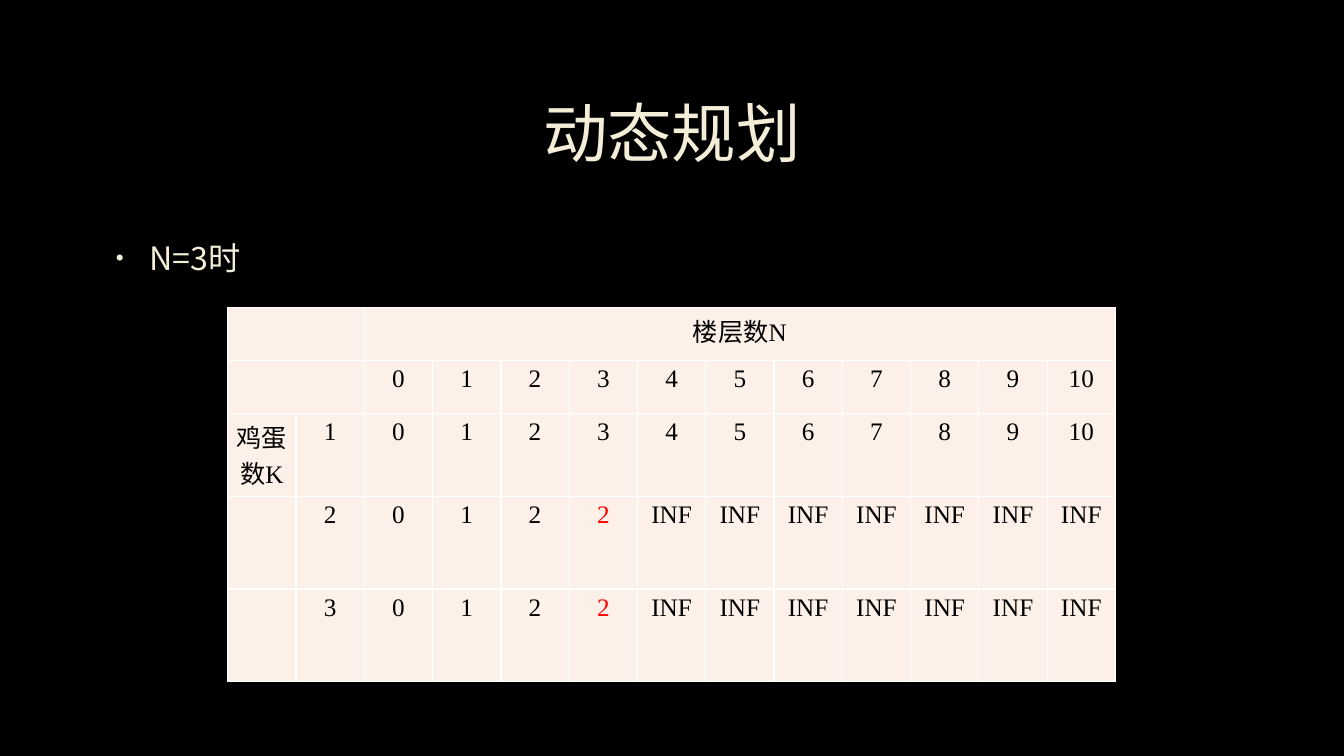
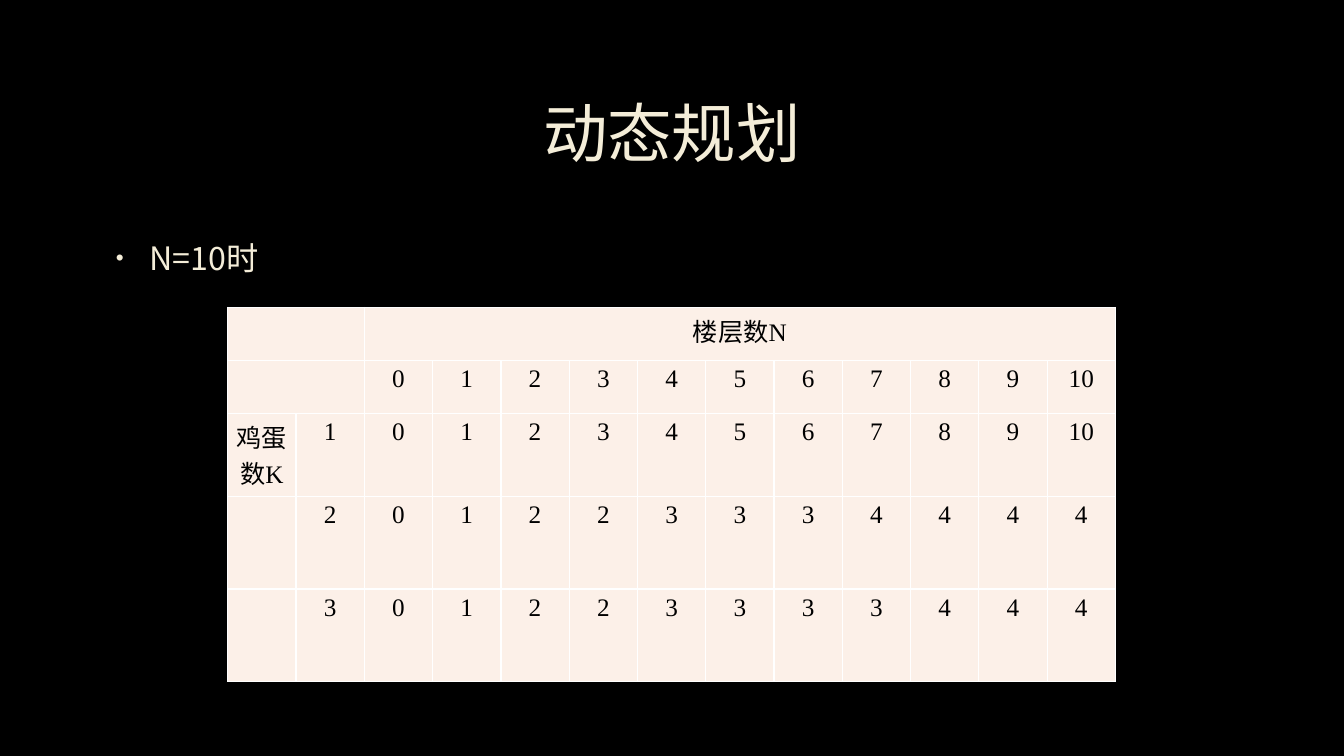
from lxml import etree
from pptx import Presentation
from pptx import util as u
from pptx.dml.color import RGBColor
from pptx.enum import text
from pptx.oxml import ns

COLORS = {"back": "000000", "cream": "F4EDD8", "outline": "404040",
          "cell": "FCF0E8", "border": "FFFFFF", "ink": "000000", "mark": "FF0000"}
CJK, SERIF = "Noto Sans CJK SC", "Times New Roman"
GRID_COLUMNS, GRID_ROWS = 160, 90

FLOORS = range(11)
ROW_HEIGHTS = [6.3, 6.3, 9.9, 11.04, 11.04]
COLUMN_WIDTH = 8.13


def rgb(name):
    return RGBColor.from_string(COLORS[name])


def add_xml(parent, tag, **attributes):
    child = etree.SubElement(parent, ns.qn(tag))
    for key, value in attributes.items():
        child.set(key, str(value))
    return child


def make_line(parent, tag, points, color, alpha=None):
    """Append a solid line element and return it."""
    line = add_xml(parent, tag, w=u.Pt(points))
    paint = add_xml(add_xml(line, "a:solidFill"), "a:srgbClr", val=COLORS[color])
    if alpha:
        add_xml(paint, "a:alpha", val=alpha * 1000)
    return line


class Deck:
    def __init__(self):
        self.file = Presentation()
        self.file.slide_width, self.file.slide_height = u.Inches(13.33), u.Inches(7.5)
        self.page = None

    def x(self, columns):
        return round(self.file.slide_width * columns / GRID_COLUMNS)

    def y(self, rows):
        return round(self.file.slide_height * rows / GRID_ROWS)

    def style(self, span, size, font, color):
        span.font.size, span.font.name = u.Pt(size), font
        span.font.color.rgb = rgb(color)
        if font == CJK:
            east_asian = etree.Element(ns.qn("a:ea"), typeface=font)
            span.font._element.find(ns.qn("a:latin")).addnext(east_asian)

    def outline(self, span):
        properties = span.font._element
        properties.insert(0, make_line(properties, "a:ln", 0.75, "outline", alpha=10))

    def add_page(self, title):
        self.page = self.file.slides.add_slide(self.file.slide_layouts[5])
        back = self.page.background.fill
        back.solid()
        back.fore_color.rgb = rgb("back")
        box = self.page.shapes.title
        box.left, box.top = self.x(12), self.y(8)
        box.width, box.height = self.x(136), self.y(16.6)
        frame = box.text_frame
        frame.text = title
        frame.auto_size = text.MSO_AUTO_SIZE.NONE
        frame.vertical_anchor = text.MSO_ANCHOR.MIDDLE
        para = frame.paragraphs[0]
        para.alignment, para.line_spacing = text.PP_ALIGN.CENTER, 0.9
        self.style(para.runs[0], 46, CJK, "cream")
        self.outline(para.runs[0])

    def add_bullet(self, words):
        box = self.page.shapes.add_textbox(self.x(12), self.y(27.36),
                                           self.x(136), self.y(8))
        frame = box.text_frame
        frame.word_wrap = True
        frame.text = words
        para = frame.paragraphs[0]
        para.line_spacing, para.space_after = 1.1, u.Pt(6)
        properties = para._p.get_or_add_pPr()
        properties.set("marL", str(u.Inches(0.38)))
        properties.set("indent", str(u.Inches(-0.33)))
        add_xml(add_xml(properties, "a:buClr"), "a:srgbClr", val=COLORS["cream"])
        add_xml(properties, "a:buSzPct", val=70000)
        add_xml(properties, "a:buFont", typeface="Arial")
        add_xml(properties, "a:buChar", char="•")
        self.style(para.runs[0], 23, CJK, "cream")
        self.outline(para.runs[0])

    def fill_cell(self, cell, pieces, color):
        cell.margin_left = cell.margin_right = u.Inches(0.07)
        cell.margin_top = cell.margin_bottom = u.Inches(0.05)
        cell.fill.solid()
        cell.fill.fore_color.rgb = rgb("cell")
        properties = cell._tc.get_or_add_tcPr()
        for index, side in enumerate("LRTB"):
            properties.insert(index, make_line(properties, f"a:ln{side}", 1, "border"))
        para = cell.text_frame.paragraphs[0]
        para.alignment = text.PP_ALIGN.CENTER
        for piece in pieces:
            span = para.add_run()
            span.text = piece
            self.style(span, 18, SERIF if piece.isascii() else CJK, color)

    def add_table(self, rows, marked):
        """Draw rows of cells, each a tuple of runs; marked holds red (row, column)s."""
        count = len(rows[0])
        table = self.page.shapes.add_table(
            len(rows), count, self.x(27.12), self.y(36.6),
            self.x(COLUMN_WIDTH * count), self.y(sum(ROW_HEIGHTS))).table
        table.first_row = table.horz_banding = False
        for column in table.columns:
            column.width = self.x(COLUMN_WIDTH)
        for r, (row, height) in enumerate(zip(rows, ROW_HEIGHTS)):
            table.rows[r].height = self.y(height)
            for c, pieces in enumerate(row):
                color = "mark" if (r, c) in marked else "ink"
                self.fill_cell(table.cell(r, c), pieces, color)
        for r, first, last in ((0, 0, 1), (0, 2, count - 1), (1, 0, 1)):
            table.cell(r, first).merge(table.cell(r, last))


def egg_rows(two_eggs, three_eggs):
    """Headings, then the fewest drops for one, two and three eggs."""
    rows = [[(), (), ("楼层数", "N")] + [()] * (len(FLOORS) - 1),
            [(), ()] + [(str(floor),) for floor in FLOORS]]
    for eggs, drops in enumerate((FLOORS, two_eggs, three_eggs), start=1):
        heading = ("鸡蛋数", "K") if eggs == 1 else ()
        rows.append([heading, (str(eggs),)] + [(str(drop),) for drop in drops])
    return rows


def main():
    deck = Deck()
    unfinished = [0, 1, 2, 2] + ["INF"] * 7
    steps = [
        ("N=3时", unfinished, unfinished, {(3, 5), (4, 5)}),
        ("N=10时", [0, 1, 2, 2, 3, 3, 3, 4, 4, 4, 4],
         [0, 1, 2, 2, 3, 3, 3, 3, 4, 4, 4], set()),
    ]
    for caption, two_eggs, three_eggs, marked in steps:
        deck.add_page("动态规划")
        deck.add_bullet(caption)
        deck.add_table(egg_rows(two_eggs, three_eggs), marked)
    deck.file.save("out.pptx")


if __name__ == "__main__":
    main()
